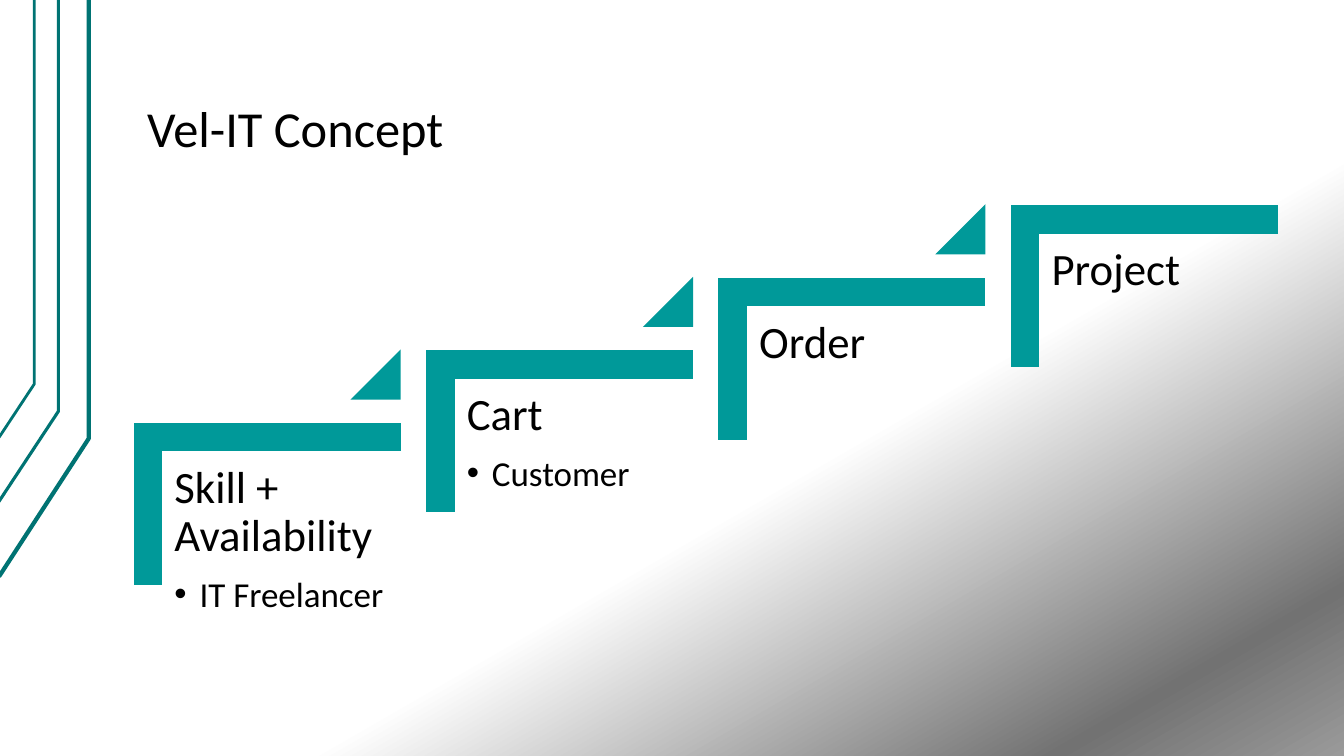
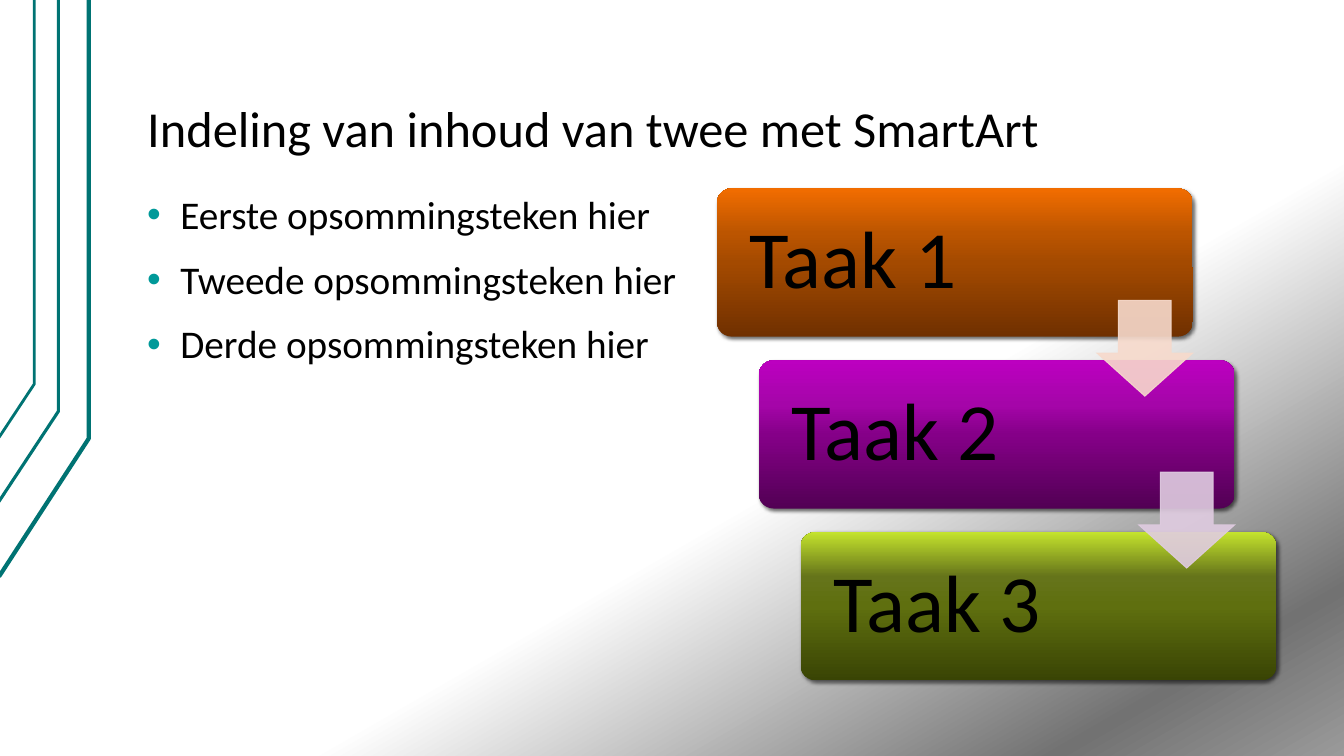
from lxml import etree
from pptx import Presentation
from pptx.dml.color import RGBColor
from pptx.enum.shapes import MSO_SHAPE
from pptx.enum.text import MSO_ANCHOR, MSO_AUTO_SIZE, PP_ALIGN
from pptx.oxml.ns import qn
from pptx.util import Inches, Pt

CORNER = MSO_SHAPE.CORNER
TRIANGLE = MSO_SHAPE.ISOSCELES_TRIANGLE
ROUNDED = MSO_SHAPE.ROUNDED_RECTANGLE
DOWN_ARROW = MSO_SHAPE.DOWN_ARROW
TOP, MIDDLE, BOTTOM = MSO_ANCHOR.TOP, MSO_ANCHOR.MIDDLE, MSO_ANCHOR.BOTTOM
LEFT = PP_ALIGN.LEFT
NO_AUTOFIT = MSO_AUTO_SIZE.NONE

FONT = "Calibri"
COLORS = {
    "text": "000000",
    "accent": "009999",
    "rail": "007373",
    "arrow_1": "F7DACC",
    "arrow_2": "E0CCE1",
}
BACKDROP = [(61, "FFFFFF"), (89, "727272"), (100, "9A9A9A")]
RAILS = [
    ([(-0.01, 5.72), (0.88, 4.35), (0.88, 0)], 3),
    ([(-0.02, 4.99), (0.58, 4.08), (0.58, 0)], 2.25),
    ([(-0.01, 4.34), (0.34, 3.81), (0.34, 0)], 2),
]
TITLE_BOX = (1.33, 0.3, 11.33, 1.34)
LIST_BOX = (1.33, 1.87, 5.55, 4.88)
STAIRS_BOX = (1.34, 2.05, 11.32, 3.74)
TASKS_BOX = (7.11, 1.87, 5.55, 4.88)
STEPS = [
    (["Skill +", "Availability"], "IT Freelancer"),
    (["Cart"], "Customer"),
    (["Order"], None),
    (["Project"], None),
]
BULLETS = [
    "Eerste opsommingsteken hier",
    "Tweede opsommingsteken hier",
    "Derde opsommingsteken hier",
]
TASKS = [
    ("Taak 1", [(0, "703000"), (50, "A44A00"), (70, "BC5500"), (100, "F26D00")]),
    ("Taak 2", [(0, "520054"), (50, "850088"), (70, "A505A9"), (100, "BC00C0")]),
    ("Taak 3", [(0, "394404"), (50, "5F6F0F"), (70, "65741A"), (100, "C4E32D")]),
]


def inches(box):
    return [Inches(length) for length in box]


def rgb(name):
    return RGBColor.from_string(COLORS[name])


def child(parent, tag, **attributes):
    values = {key: str(value) for key, value in attributes.items()}
    return etree.SubElement(parent, qn(tag), values)


def add_alpha(color, percent):
    child(color, "a:alpha", val=percent * 1000)


def set_gradient(fill, properties, stops, angle):
    fill.gradient()
    gradient = properties.find(qn("a:gradFill"))
    gradient.clear()
    gradient.set("rotWithShape", "1")
    stop_list = child(gradient, "a:gsLst")
    for position, color in stops:
        stop = child(stop_list, "a:gs", pos=position * 1000)
        child(stop, "a:srgbClr", val=color)
    child(gradient, "a:lin", ang=angle * 60000, scaled=0)


def add_figure(slide, preset, box, adjustments, color, line_width):
    figure = slide.shapes.add_shape(preset, *inches(box))
    for index, value in enumerate(adjustments):
        figure.adjustments[index] = value
    figure.shadow.inherit = False
    figure.fill.solid()
    figure.fill.fore_color.rgb = rgb(color)
    figure.line.color.rgb = rgb(color)
    figure.line.width = Pt(line_width)
    child(figure._element.spPr.find(qn("a:ln")), "a:miter", lim=800000)
    return figure


def setup_frame(frame, anchor, side, edge):
    frame.word_wrap = True
    frame.auto_size = NO_AUTOFIT
    frame.vertical_anchor = anchor
    frame.margin_left = frame.margin_right = Inches(side)
    frame.margin_top = frame.margin_bottom = Inches(edge)


def write_paragraph(paragraph, lines, size, before=0, after=0):
    paragraph.alignment = LEFT
    paragraph.line_spacing = 0.9
    paragraph.space_before = Pt(before)
    paragraph.space_after = Pt(after)
    for number, line in enumerate(lines):
        if number:
            paragraph.add_line_break()
        run = paragraph.add_run()
        run.text = line
        run.font.name = FONT
        run.font.size = Pt(size)
        run.font.color.rgb = rgb("text")


def add_bullet(paragraph, indent, color):
    properties = paragraph._p.get_or_add_pPr()
    properties.set("marL", str(Inches(indent)))
    properties.set("indent", str(-Inches(indent)))
    child(child(properties, "a:buClr"), "a:srgbClr", val=COLORS[color])
    child(properties, "a:buFont", typeface="Arial")
    child(properties, "a:buChar", char="•")


def place(placeholder, box):
    placeholder.left, placeholder.top, placeholder.width, placeholder.height = inches(box)


def decorate_master(master, canvas):
    set_gradient(master.background.fill, master._element.cSld.bg.bgPr, BACKDROP, 60)
    for number, (points, width) in enumerate(RAILS):
        start, *rest = [inches(point) for point in points]
        builder = canvas.shapes.build_freeform(*start)
        builder.add_line_segments(rest, close=False)
        rail = builder.convert_to_shape()
        rail.shadow.inherit = False
        rail.fill.background()
        rail.line.color.rgb = rgb("rail")
        rail.line.width = Pt(width)
        rail._element.nvSpPr.cNvPr.set("id", str(100 + number))
        master.shapes._spTree.insert(2 + number, rail._element)


def write_title(slide, text):
    title = slide.shapes.title
    place(title, TITLE_BOX)
    setup_frame(title.text_frame, BOTTOM, 0.13, 0.07)
    write_paragraph(title.text_frame.paragraphs[0], [text], 36)


def write_list(placeholder, box, items):
    place(placeholder, box)
    frame = placeholder.text_frame
    setup_frame(frame, TOP, 0.13, 0.07)
    for number, item in enumerate(items):
        paragraph = frame.add_paragraph() if number else frame.paragraphs[0]
        write_paragraph(paragraph, [item], 28, before=16)
        add_bullet(paragraph, 0.33, "accent")


def draw_step(slide, box, heading, detail):
    left, top, width, height = box
    shift = (width - height) / 2
    corner = add_figure(slide, CORNER, (left + shift, top - shift, height, width),
                        [0.161, 0.161], "accent", 2)
    corner.rotation = 90
    label = slide.shapes.add_textbox(*inches((left + 0.26, top + 0.27, 2.37, 2.08)))
    frame = label.text_frame
    setup_frame(frame, TOP, 0.13, 0.13)
    write_paragraph(frame.paragraphs[0], heading, 32, after=11)
    if detail:
        paragraph = frame.add_paragraph()
        write_paragraph(paragraph, [detail], 25, after=4)
        add_bullet(paragraph, 0.25, "text")


def draw_stairs(slide, box, steps):
    left, top, width, height = box
    step_width, step_height, marker = 2.62, 1.58, 0.45
    gap_x = (width - step_width) / (len(steps) - 1)
    gap_y = (height - step_height) / (len(steps) - 1)
    for number, (heading, detail) in enumerate(steps):
        x = left + number * gap_x
        y = top + height - step_height - number * gap_y
        draw_step(slide, (x, y, step_width, step_height), heading, detail)
        if number < len(steps) - 1:
            add_figure(slide, TRIANGLE, (x + step_width - marker, y - 0.71, marker, marker),
                       [1], "accent", 2)


def draw_task(slide, box, text, stops):
    card = slide.shapes.add_shape(ROUNDED, *inches(box))
    card.adjustments[0] = 0.1
    set_gradient(card.fill, card._element.spPr, stops, 270)
    card.line.fill.background()
    card.shadow.inherit = False
    shadow = child(card._element.spPr.find(qn("a:effectLst")), "a:outerShdw",
                   blurRad=Pt(3), dist=Pt(2), dir=45 * 60000, rotWithShape=0)
    add_alpha(child(shadow, "a:srgbClr", val=COLORS["text"]), 60)
    setup_frame(card.text_frame, MIDDLE, 0.28, 0.24)
    write_paragraph(card.text_frame.paragraphs[0], [text], 58)


def draw_tasks(slide, box, tasks):
    left, top, width, height = box
    card_width, card_height, arrow_size = 4.72, 1.47, 0.95
    gap_x = (width - card_width) / (len(tasks) - 1)
    gap_y = (height - card_height) / (len(tasks) - 1)
    corners = [(left + n * gap_x, top + n * gap_y) for n in range(len(tasks))]
    for (x, y), (text, stops) in zip(corners, tasks):
        draw_task(slide, (x, y, card_width, card_height), text, stops)
    for (x, y), color in zip(corners, ("arrow_1", "arrow_2")):
        arrow_box = (x + card_width - arrow_size, y + 1.11, arrow_size, arrow_size)
        arrow = add_figure(slide, DOWN_ARROW, arrow_box, [0.55, 0.45], color, 0.75)
        for tint in arrow._element.spPr.iter(qn("a:srgbClr")):
            add_alpha(tint, 90)


def build_concept(slide):
    write_title(slide, "Vel-IT Concept")
    draw_stairs(slide, STAIRS_BOX, STEPS)


def build_tasks(slide):
    write_title(slide, "Indeling van inhoud van twee met SmartArt")
    write_list(slide.placeholders[1], LIST_BOX, BULLETS)
    draw_tasks(slide, TASKS_BOX, TASKS)


def main():
    deck = Presentation()
    deck.slide_width, deck.slide_height = inches((13.33, 7.5))
    concept = deck.slides.add_slide(deck.slide_layouts[5])
    decorate_master(deck.slide_master, concept)
    build_concept(concept)
    build_tasks(deck.slides.add_slide(deck.slide_layouts[1]))
    deck.save("out.pptx")


if __name__ == "__main__":
    main()
